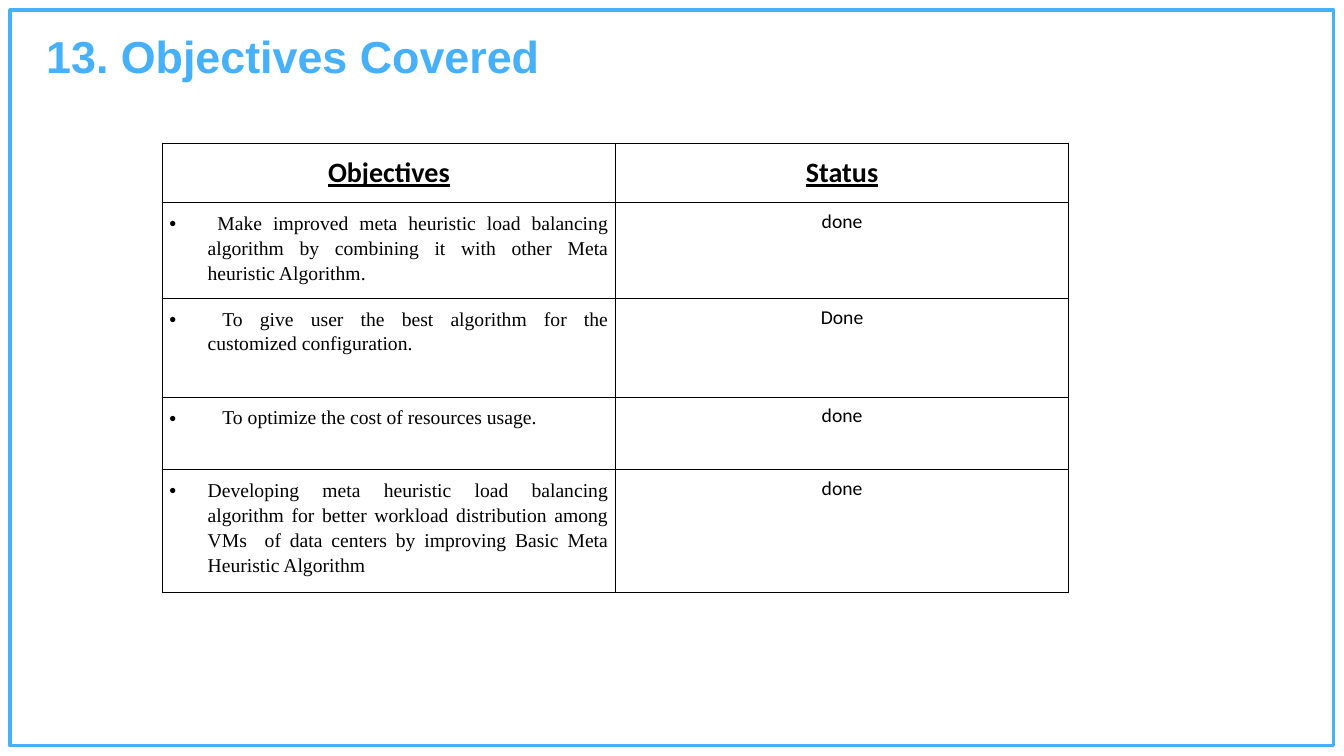
"""Build the slide listing the objectives covered and their status."""
from lxml import etree
from pptx import Presentation
from pptx.dml.color import RGBColor
from pptx.enum.shapes import MSO_SHAPE
from pptx.enum.text import MSO_ANCHOR, PP_ALIGN
from pptx.oxml.ns import qn
from pptx.util import Inches, Pt

RECT = MSO_SHAPE.RECTANGLE
TOP, MIDDLE = MSO_ANCHOR.TOP, MSO_ANCHOR.MIDDLE
LEFT, CENTER, JUSTIFY = PP_ALIGN.LEFT, PP_ALIGN.CENTER, PP_ALIGN.JUSTIFY

TITLE = "13. Objectives Covered"
HEADS = ("Objectives", "Status")
GOALS = [
    ("\u00a0\u00a0Make improved meta heuristic load balancing algorithm by "
     "combining it with other Meta heuristic Algorithm.", "done"),
    ("\u00a0\u00a0\u00a0To give user the best algorithm for the customized "
     "configuration.", "Done"),
    ("\u00a0\u00a0\u00a0To optimize the cost of resources usage.", "done"),
    ("Developing meta heuristic load balancing algorithm for better workload "
     "distribution among VMs  of data centers by improving Basic Meta "
     "Heuristic Algorithm", "done"),
]
COLORS = {"frame": "46B0F9", "title": "46B0FA", "ink": "000000"}
WIDE, HIGH = 13.33, 7.5
EDGE = 0.1
GRID = {"left": 1.61, "top": 1.42, "width": 8.99}
ROWS = (0.59, 0.95, 0.98, 0.72, 1.22)
PAD, HANG = 0.07, 0.38


def write(frame, text, font="Calibri", size=14, color="ink", bold=False,
          under=False, align=LEFT, bullet=False):
    frame.word_wrap = True
    para = frame.paragraphs[0]
    para.alignment = align
    if bullet:
        para.line_spacing = 1.15
        props = para._p.get_or_add_pPr()
        props.set("marL", str(Inches(HANG)))
        props.set("indent", str(-Inches(HANG)))
        etree.SubElement(props, qn("a:buFont"), typeface="Arial")
        etree.SubElement(props, qn("a:buChar"), char="\u2022")
    run = para.add_run()
    run.text = text
    face = run.font
    face.name, face.size = font, Pt(size)
    face.bold, face.underline = bold, under
    face.color.rgb = RGBColor.from_string(COLORS[color])


def style(cell, anchor):
    props = cell._tc.get_or_add_tcPr()
    for side in "LRTB":
        line = etree.SubElement(props, qn("a:ln" + side), w=str(Pt(0.75)))
        fill = etree.SubElement(line, qn("a:solidFill"))
        etree.SubElement(fill, qn("a:srgbClr"), val=COLORS["ink"])
    cell.fill.background()
    cell.vertical_anchor = anchor
    cell.margin_left = cell.margin_right = Inches(PAD)
    cell.margin_top = cell.margin_bottom = Inches(PAD)


deck = Presentation()
deck.slide_width, deck.slide_height = Inches(WIDE), Inches(HIGH)
slide = deck.slides.add_slide(deck.slide_layouts[6])

border = slide.shapes.add_shape(
    RECT, Inches(EDGE), Inches(EDGE),
    Inches(WIDE - 2 * EDGE), Inches(HIGH - 2 * EDGE))
border.shadow.inherit = False
border.fill.background()
border.line.color.rgb = RGBColor.from_string(COLORS["frame"])
border.line.width = Pt(2.25)

title = slide.shapes.add_textbox(
    Inches(0.36), Inches(0.24), Inches(8.24), Inches(0.64))
write(title.text_frame, TITLE, font="Arial", size=32, color="title", bold=True)

table = slide.shapes.add_table(
    len(ROWS), len(HEADS), Inches(GRID["left"]), Inches(GRID["top"]),
    Inches(GRID["width"]), Inches(sum(ROWS))).table
table.horz_banding = False
for row, high in zip(table.rows, ROWS):
    row.height = Inches(high)

HEAD = {"size": 20, "bold": True, "under": True, "align": CENTER}
BODY = ({"font": "Times New Roman", "align": JUSTIFY, "bullet": True},
        {"align": CENTER})
for r, texts in enumerate([HEADS] + GOALS):
    for c, text in enumerate(texts):
        cell = table.cell(r, c)
        style(cell, TOP if r else MIDDLE)
        write(cell.text_frame, text, **(BODY[c] if r else HEAD))

deck.save("out.pptx")
